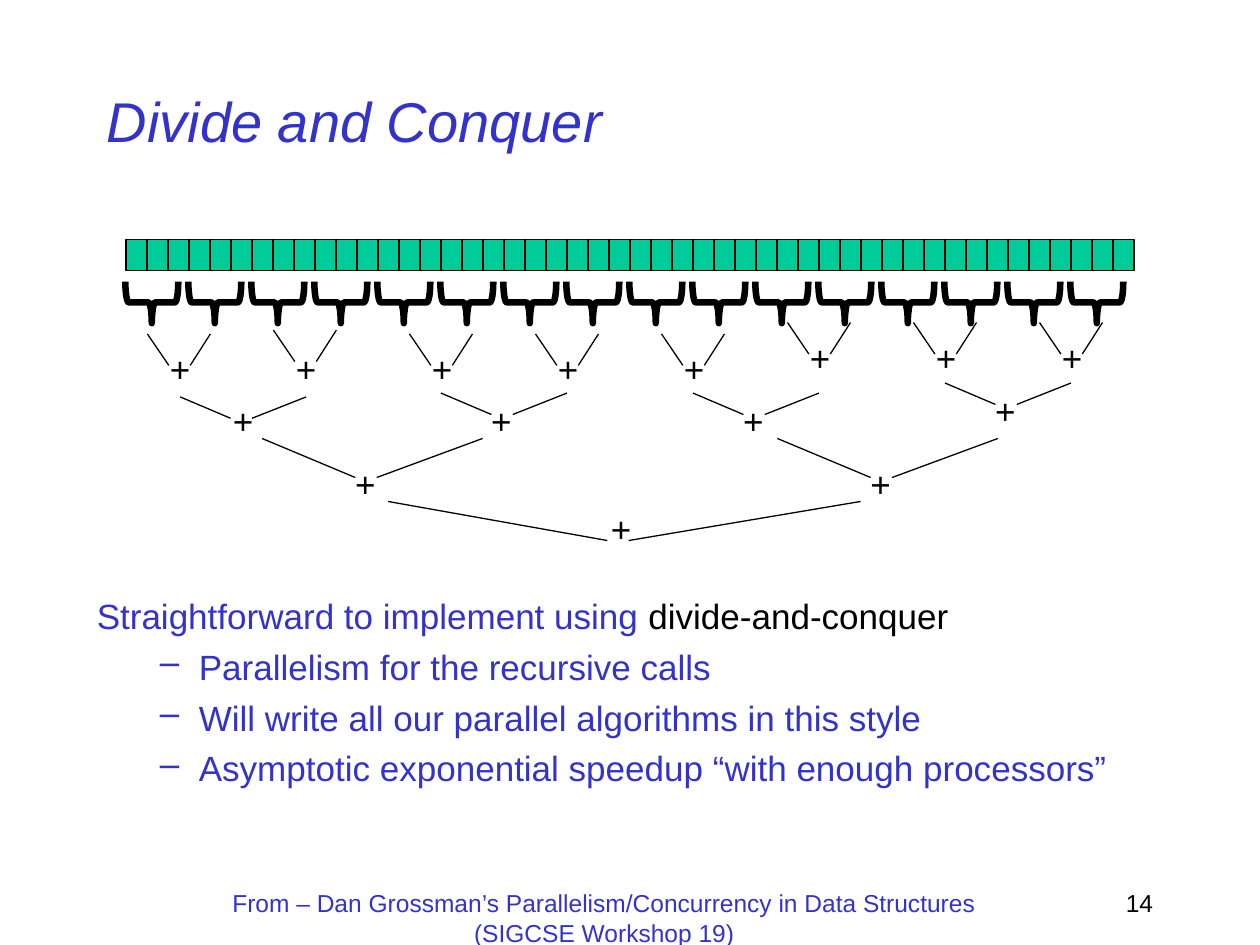
from dataclasses import dataclass

from lxml.etree import SubElement
from pptx import Presentation
from pptx.dml.color import RGBColor
from pptx.enum.shapes import MSO_CONNECTOR as Connector, MSO_SHAPE as Preset
from pptx.enum.text import MSO_ANCHOR as Anchor, PP_ALIGN as Align
from pptx.oxml.ns import qn
from pptx.util import Inches, Pt

COLORS = {"blue": "3333CC", "black": "000000", "green": "00CC99"}
CELL_COUNT, BRACE_COUNT = 48, 16
CELL_WIDTH = 1 / 6
TIP_GAP = 0.17


@dataclass
class Block:
    left: float
    top: float
    width: float
    height: float
    size: int
    color: str = "blue"
    italic: bool = False
    align: Align = Align.LEFT
    anchor: Anchor = Anchor.TOP
    wrap: bool = True


@dataclass
class Join:
    """Two branches that meet at a plus sign."""
    left: float
    right: float
    tip: float
    top: float
    drop: float
    plus_left: float
    plus_top: float


def color(name: str) -> RGBColor:
    return RGBColor.from_string(COLORS[name])


def set_all(target, values: dict) -> None:
    for key, value in values.items():
        setattr(target, key, value)


def add_run(paragraph, text: str, block: Block, tint: str = "") -> None:
    run = paragraph.add_run()
    run.text = text
    set_all(run.font, {"name": "Arial", "size": Pt(block.size), "italic": block.italic})
    run.font.color.rgb = color(tint or block.color)


def add_frame(block: Block):
    box = slide.shapes.add_textbox(*map(Inches, (block.left, block.top, block.width, block.height)))
    frame = box.text_frame
    set_all(frame, {"word_wrap": block.wrap, "vertical_anchor": block.anchor})
    frame.paragraphs[0].alignment = block.align
    return frame


def add_text(text: str, block: Block) -> None:
    add_run(add_frame(block).paragraphs[0], text, block)


def set_indent(paragraph, margin: float, hanging: float, bullet: str = "") -> None:
    props = paragraph._p.get_or_add_pPr()
    props.set("marL", str(Inches(margin)))
    props.set("indent", str(Inches(-hanging)))
    if bullet:
        SubElement(props, qn("a:buChar")).set("char", bullet)
    else:
        SubElement(props, qn("a:buNone"))


def add_preset(preset: Preset, left: float, top: float, width: float, height: float,
               line_width: float, fill: str = "", rotation: float = 0) -> None:
    shape = slide.shapes.add_shape(preset, *map(Inches, (left, top, width, height)))
    shape.rotation = rotation
    shape.shadow.inherit = False
    if fill:
        shape.fill.solid()
        shape.fill.fore_color.rgb = color(fill)
    else:
        shape.fill.background()
    shape.line.color.rgb = color("black")
    shape.line.width = Pt(line_width)


def add_branch(x1: float, y1: float, x2: float, y2: float) -> None:
    branch = slide.shapes.add_connector(Connector.STRAIGHT, *map(Inches, (x1, y1, x2, y2)))
    branch.line.color.rgb = color("black")
    branch.line.width = Pt(0.75)
    SubElement(branch._element.spPr, qn("a:effectLst"))


def add_join(join: Join) -> None:
    bottom = join.top + join.drop
    add_branch(join.left, join.top, join.tip, bottom)
    add_branch(join.right, join.top, join.tip + TIP_GAP, bottom)
    add_text("+", Block(join.plus_left, join.plus_top, 0.36, 0.44, 20, "black", wrap=False))


deck = Presentation()
set_all(deck, {"slide_width": Inches(10), "slide_height": Inches(7.5)})
slide = deck.slides.add_slide(deck.slide_layouts[6])

# Title
add_text("Divide and Conquer",
         Block(0.75, 0.33, 8.5, 1.25, 32, italic=True, anchor=Anchor.MIDDLE))

# Array cells and the braces that group them
for i in range(CELL_COUNT):
    add_preset(Preset.RECTANGLE, 1 + i * CELL_WIDTH, 1.9, CELL_WIDTH, 0.25, 0.75, "green")
for i in range(BRACE_COUNT):
    add_preset(Preset.LEFT_BRACE, 1.04 + i * 0.5, 2.19, 0.33, 0.42, 3.75, rotation=270)

# Summation tree, from the pairs of groups down to the total
pairs = [(1.17, 2.65, 2.71), (2.17, 2.62, 2.71)]
pairs += [(x + 0.25, 2.65, 2.71) for x in (3, 4, 5)]
pairs += [(x + 0.25, 2.56, 2.62) for x in (6, 7, 8)]
joins = [Join(x, x + 0.5, x + 0.17, top, 0.25, x + 0.08, plus_top)
         for x, top, plus_top in pairs]
quads = [(1.43, 3.15, 1.75, 3.12), (3.5, 3.12, 3.8, 3.12),
         (5.5, 3.12, 5.8, 3.12), (7.5, 3.04, 7.8, 3.04)]
joins += [Join(x, x + 1, x + 0.4, top, 0.17, plus_left, plus_top)
          for x, top, plus_left, plus_top in quads]
joins += [Join(x, x + 1.75, x + 0.74, 3.48, 0.31, x + 0.64, 3.62) for x in (2.08, 6.17)]
joins.append(Join(3.08, 6.83, 4.82, 3.98, 0.31, 4.75, 3.98))
for join in joins:
    add_join(join)

# Explanation
body = Block(0.67, 4.67, 8.5, 2.08, 20)
body_frame = add_frame(body)
lead = body_frame.paragraphs[0]
lead.space_before = Pt(5)
set_indent(lead, 0.38, 0.38)
add_run(lead, "Straightforward to implement using ", body)
add_run(lead, "divide-and-conquer", body, "black")
for point in ("Parallelism for the recursive calls",
              "Will write all our parallel algorithms in this style",
              "Asymptotic exponential speedup “with enough processors”"):
    item = body_frame.add_paragraph()
    set_all(item, {"level": 1, "space_before": Pt(5)})
    set_indent(item, 0.81, 0.31, "–")
    add_run(item, point, body)

# Footer
add_text("14", Block(7.17, 7, 2.08, 0.5, 14, "black", align=Align.RIGHT))
add_text("From – Dan Grossman’s Parallelism/Concurrency in Data Structures (SIGCSE Workshop 19)",
         Block(1.67, 7, 6.25, 0.5, 14, align=Align.CENTER))

deck.save("out.pptx")
